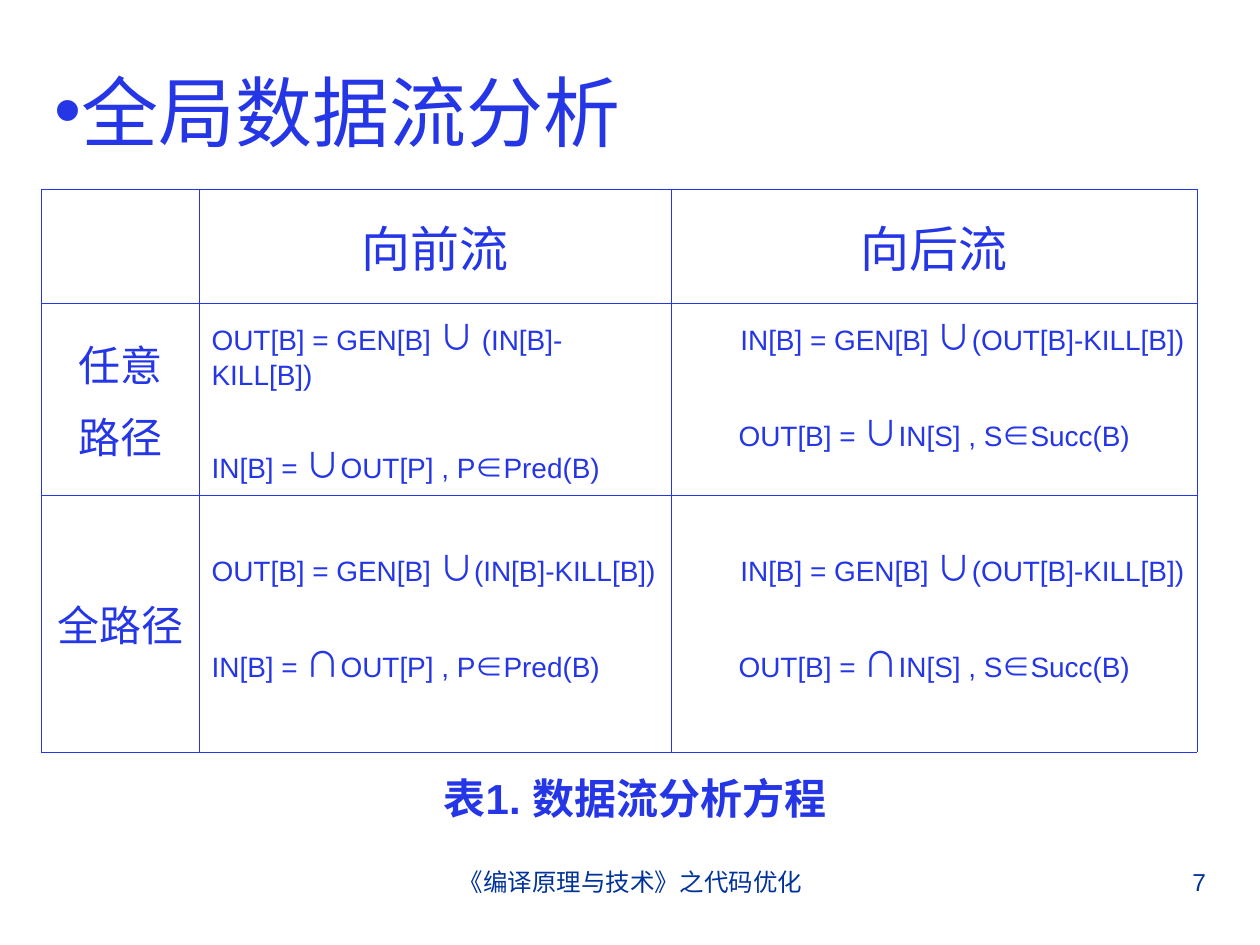
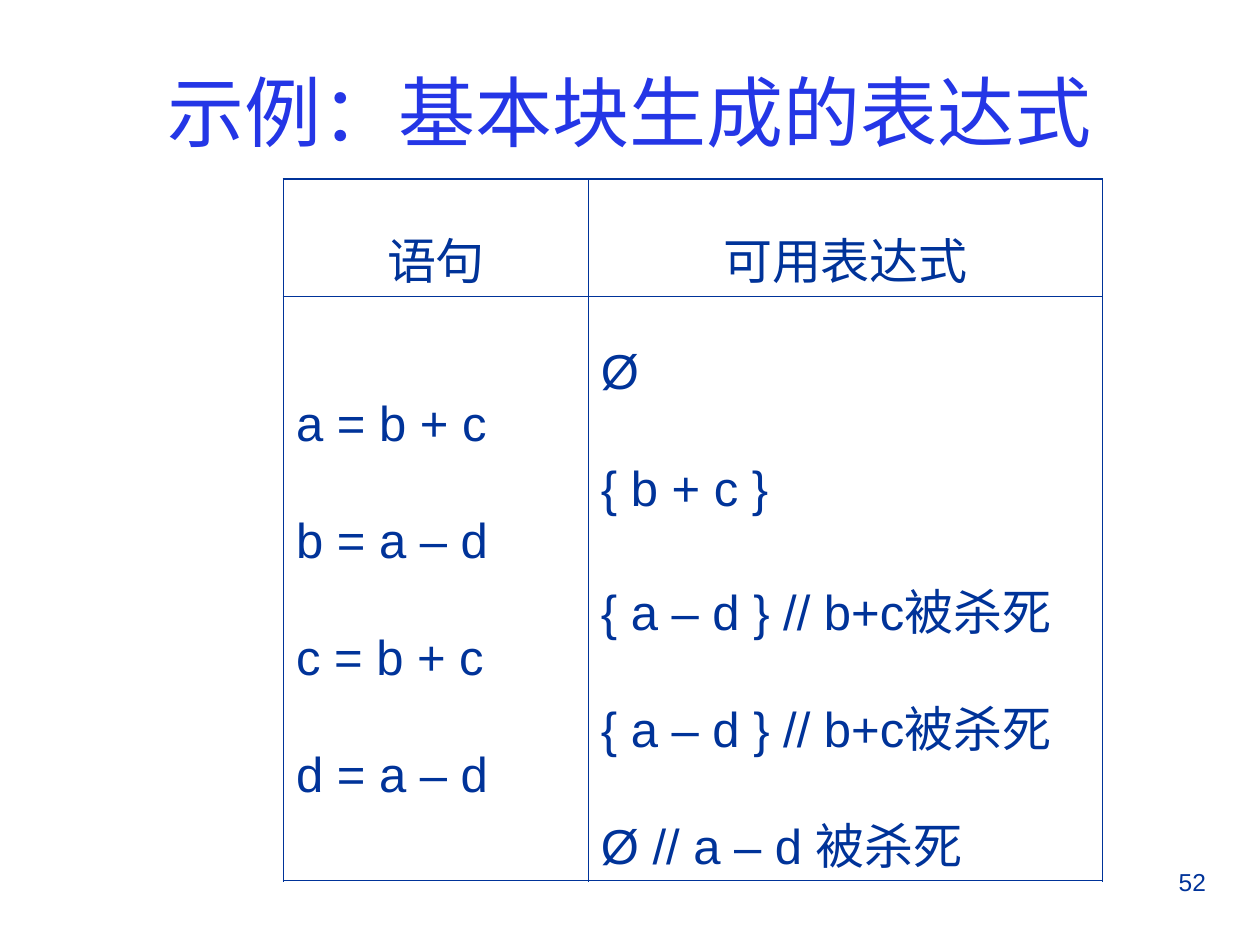
import itertools

import pptx
import pptx.dml.color
import pptx.enum.text
import pptx.oxml
import pptx.oxml.ns
import pptx.util
from lxml import etree
from pptx.util import Inches

# Shared look
BLUE, NAVY = "2436E6", "003399"
LATIN, CJK = "Arial", "Noto Sans CJK SC"
SYMBOL_PT = {"∪": 20, "∩": 20, "∈": 16}
THIN, THICK = 0.45, 1.08
NO_STYLE = "{2D5ABB26-0587-4C30-8999-92F81FD0307C}"
ALIGN = pptx.enum.text.PP_ALIGN
LEFT, CENTER, RIGHT = ALIGN.LEFT, ALIGN.CENTER, ALIGN.RIGHT
MIDDLE = pptx.enum.text.MSO_ANCHOR.MIDDLE
qn = pptx.oxml.ns.qn

# Content: data flow equations
FOOTER = "《编译原理与技术》之代码优化"
FLOW_TITLE = "全局数据流分析"
FLOW_CAPTION = "表1. 数据流分析方程"
FLOW_HEADS = ["", "向前流", "向后流"]
FLOW_ROWS = [
    (["任意", "路径"],
     ["OUT[B] = GEN[B] ∪ (IN[B]-KILL[B])", "IN[B] = ∪OUT[P] , P∈Pred(B)"],
     ["IN[B] = GEN[B] ∪(OUT[B]-KILL[B])", "OUT[B] = ∪IN[S] , S∈Succ(B)"]),
    (["全路径"],
     ["OUT[B] = GEN[B] ∪(IN[B]-KILL[B])", "IN[B] = ∩OUT[P] , P∈Pred(B)"],
     ["IN[B] = GEN[B] ∪(OUT[B]-KILL[B])", "OUT[B] = ∩IN[S] , S∈Succ(B)"]),
]
FLOW_COLS, FLOW_HEIGHTS = [1.25, 3.75, 4.17], [0.91, 1.52, 2.04]
FLOW_TOPS = [0.05, 0.36]  # top margin of the equations in each row

# Content: available expressions
EXPR_TITLE = "示例：基本块生成的表达式"
EXPR_ROWS = [
    ("语句", "可用表达式"),
    ("", "Ø"),
    ("a = b + c", "{ b + c }"),
    ("b = a – d", "{ a – d } // b+c被杀死"),
    ("c = b + c", "{ a – d } // b+c被杀死"),
    ("d = a – d", "Ø // a – d 被杀死"),
]
EXPR_COLS, EXPR_HEIGHTS = [2.42, 4.08], [0.93] * 5 + [0.92]
EXPR_LOW_TOP = 0.57  # top margin that lowers a line to the foot of its row


def rgb(color):
    return pptx.dml.color.RGBColor.from_string(color)


def set_font(font, size, color, bold=False, latin=LATIN):
    font.size = pptx.util.Pt(size)
    font.bold = bold
    font.color.rgb = rgb(color)
    font.name = latin
    etree.SubElement(font._element, qn("a:ea")).set("typeface", CJK)


def write(tf, lines, size, color, aligns, gap=0, bold=False, spacing=None):
    """Write one paragraph per line; set symbols get a font of their own."""
    for i, (line, align) in enumerate(zip(lines, aligns)):
        p = tf.paragraphs[0] if i == 0 else tf.add_paragraph()
        p.alignment = align
        p.space_before = pptx.util.Pt(gap if i else 0)
        if spacing:
            p.line_spacing = spacing
        if not set(line) & set(SYMBOL_PT):
            p.text = line
            set_font(p.font, size, color, bold)
            continue
        for symbol, part in itertools.groupby(line, SYMBOL_PT.get):
            r = p.add_run()
            r.text = "".join(part)
            set_font(r.font, symbol or size, color, bold, CJK if symbol else LATIN)


def add_text(slide, box, text, size, color, align, bold=False):
    tf = slide.shapes.add_textbox(*map(Inches, box)).text_frame
    tf.word_wrap = True
    write(tf, [text], size, color, [align], bold=bold)


def add_slide(prs, title, number, align):
    slide = prs.slides.add_slide(prs.slide_layouts[5])
    sp = slide.shapes.title
    sp.left, sp.top, sp.width, sp.height = map(Inches, (0.33, 0.25, 9.34, 1.25))
    tf = sp.text_frame
    tf.auto_size = pptx.enum.text.MSO_AUTO_SIZE.NONE
    tf.vertical_anchor = MIDDLE
    write(tf, [title], 44, BLUE, [align])
    add_text(slide, (7.17, 6.83, 2.5, 0.52), str(number), 14, NAVY, RIGHT)
    return slide


def add_bullet(p, color):
    pPr = p._p.get_or_add_pPr()
    pPr.set("marL", "0")
    pPr.set("indent", "0")
    bullet_color = etree.Element(qn("a:buClr"))
    etree.SubElement(bullet_color, qn("a:srgbClr"), val=color)
    bullet_font = etree.Element(qn("a:buFont"), typeface=LATIN)
    bullet = etree.Element(qn("a:buChar"), char="•")
    text_font = pPr.find(qn("a:defRPr"))
    for part in (bullet_color, bullet_font, bullet):
        text_font.addprevious(part)


def add_grid(slide, left, top, cols, heights):
    frame = slide.shapes.add_table(len(heights), len(cols), Inches(left), Inches(top),
                                   Inches(sum(cols)), Inches(sum(heights)))
    table = frame.table
    table.first_row = table.horz_banding = False
    table._tbl.tblPr.find(qn("a:tableStyleId")).text = NO_STYLE
    for col, width in zip(table.columns, cols):
        col.width = Inches(width)
    for row, height in zip(table.rows, heights):
        row.height = Inches(height)
    return table


def finish_cell(cell, color, widths):
    """Set margins, borders (left, right, top, bottom; 0 is none) and fill."""
    cell.margin_left = cell.margin_right = Inches(0.1)
    cell.margin_bottom = Inches(0.05)
    tcPr = cell._tc.get_or_add_tcPr()
    for side, width in zip("LRTB", widths):
        ln = etree.SubElement(tcPr, qn("a:ln" + side), w=str(pptx.util.Pt(width)))
        if width:
            fill = etree.SubElement(ln, qn("a:solidFill"))
            etree.SubElement(fill, qn("a:srgbClr"), val=color)
        else:
            etree.SubElement(ln, qn("a:noFill"))
    cell.fill.background()


def build_flow(prs):
    slide = add_slide(prs, FLOW_TITLE, 7, LEFT)
    add_bullet(slide.shapes.title.text_frame.paragraphs[0], BLUE)
    add_text(slide, (3.42, 6.83, 3.17, 0.52), FOOTER, 14, NAVY, CENTER)
    add_text(slide, (2.08, 6.08, 5.92, 0.5), FLOW_CAPTION, 24, BLUE, CENTER, bold=True)
    table = add_grid(slide, 0.33, 1.5, FLOW_COLS, FLOW_HEIGHTS)
    for cell in table.iter_cells():
        finish_cell(cell, BLUE, [THIN] * 4)

    # Column heads
    for c, head in enumerate(FLOW_HEADS):
        cell = table.cell(0, c)
        cell.vertical_anchor = MIDDLE
        if head:
            write(cell.text_frame, [head], 28, BLUE, [CENTER])

    # Path names and equations
    for r, (names, forward, backward) in enumerate(FLOW_ROWS, 1):
        cell = table.cell(r, 0)
        cell.vertical_anchor = MIDDLE
        write(cell.text_frame, names, 24, BLUE, [CENTER] * 2, gap=6)
        for c, lines, aligns in ((1, forward, (LEFT, LEFT)), (2, backward, (RIGHT, CENTER))):
            cell = table.cell(r, c)
            cell.margin_top = Inches(FLOW_TOPS[r - 1])
            write(cell.text_frame, lines, 16, BLUE, aligns, gap=26)


def build_expressions(prs):
    slide = add_slide(prs, EXPR_TITLE, 52, CENTER)
    table = add_grid(slide, 2.25, 1.42, EXPR_COLS, EXPR_HEIGHTS)
    last = len(EXPR_ROWS) - 1
    for r, texts in enumerate(EXPR_ROWS):
        # Rules run only around the table and below the heads
        top = {0: THICK, 1: THIN}.get(r, 0)
        bottom = {0: THIN, last: THICK}.get(r, 0)
        for c, text in enumerate(texts):
            cell = table.cell(r, c)
            sides = (THIN, THICK) if c else (THICK, THIN)
            finish_cell(cell, NAVY, (*sides, top, bottom))
            cell.margin_top = Inches(EXPR_LOW_TOP if r == 0 or c else 0.05)
            if text:
                write(cell.text_frame, [text], 28, NAVY, [LEFT if r else CENTER], spacing=0.5)


def main():
    prs = pptx.Presentation()
    prs.slide_width, prs.slide_height = Inches(10), Inches(7.5)
    build_flow(prs)
    build_expressions(prs)
    prs.save("out.pptx")


if __name__ == "__main__":
    main()
